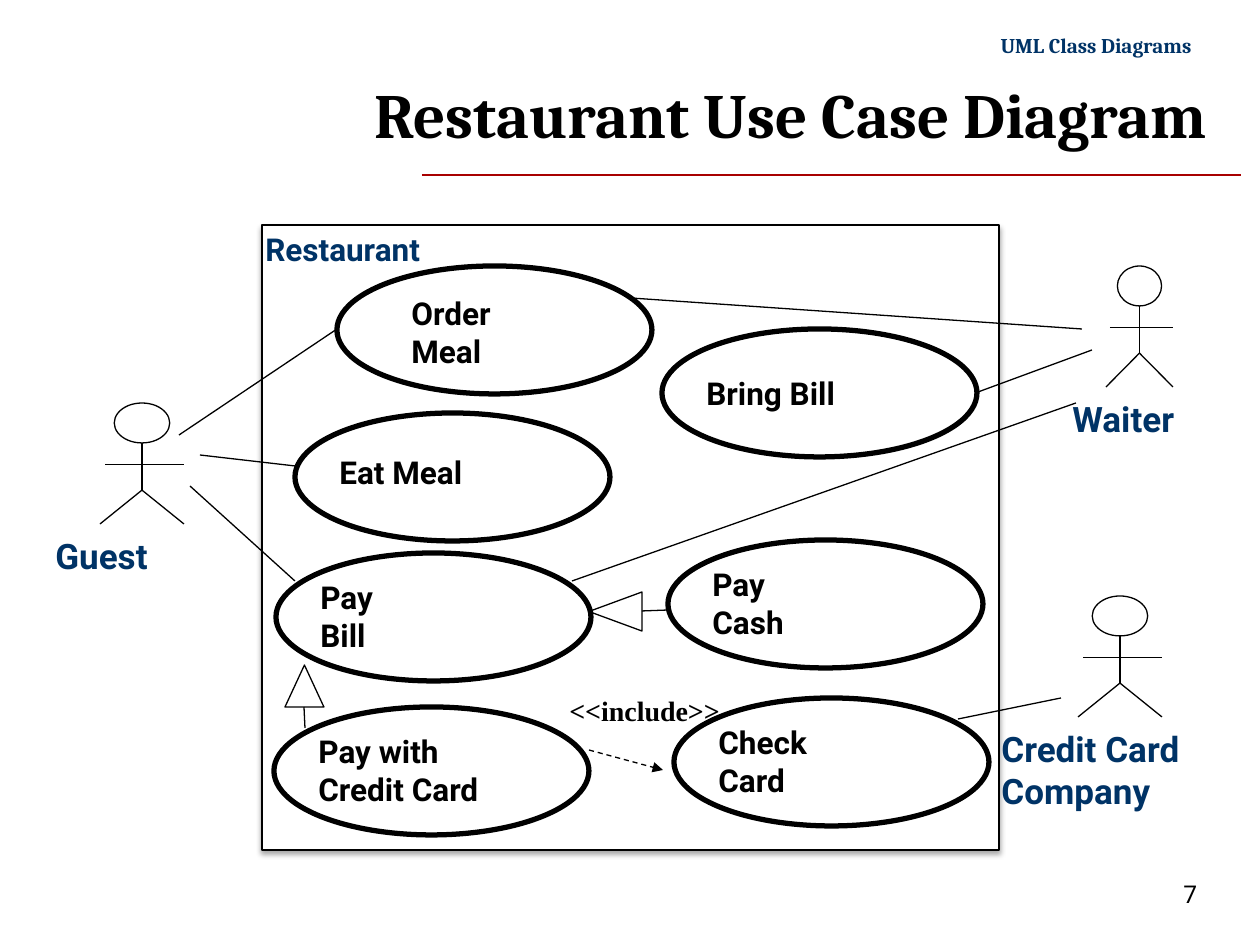
from dataclasses import dataclass

from lxml.etree import SubElement
from pptx import Presentation
from pptx.dml.color import RGBColor
from pptx.enum.dml import MSO_LINE
from pptx.enum.shapes import MSO_CONNECTOR, MSO_SHAPE
from pptx.enum.text import MSO_ANCHOR, PP_ALIGN
from pptx.oxml.ns import qn
from pptx.util import Emu, Pt


@dataclass(frozen=True)
class Theme:
    """Colours, fonts and type sizes of the slide."""
    black: str = "000000"
    white: str = "FFFFFF"
    navy: str = "003366"
    red: str = "A80000"
    serif: str = "Cambria"
    sans: str = "Roboto"
    stereo: str = "Times New Roman"
    title: int = 36
    actor: int = 20
    case: int = 18
    note: int = 16
    page: int = 14
    head: int = 12
    thin: float = 0.75
    thick: float = 3


THEME = Theme()
SCALE = 914400 / 126


def px(*nums):
    """Turn px lengths into EMU."""
    return [Emu(round(num * SCALE)) for num in nums]


def write(frame, text, font, size, color=THEME.black, bold=True, align=PP_ALIGN.LEFT):
    """Fill a text frame, one paragraph per line."""
    frame.text = text
    frame.word_wrap = True
    for para in frame.paragraphs:
        para.alignment = align
        para.font.name = font
        para.font.size = Pt(size)
        para.font.bold = bold
        para.font.color.rgb = RGBColor.from_string(color)


def label(slide, box, text, font, size, **style):
    """Place a text box."""
    write(slide.shapes.add_textbox(*px(*box)).text_frame, text, font, size, **style)


def line(slide, ends, color=THEME.black):
    """Draw a thin straight line without a shadow."""
    link = slide.shapes.add_connector(MSO_CONNECTOR.STRAIGHT, *px(*ends))
    link.line.color.rgb = RGBColor.from_string(color)
    link.line.width = Pt(THEME.thin)
    SubElement(link._element.spPr, qn("a:effectLst"))
    return link


def outline(slide, kind, box, width=THEME.thin):
    """Draw an unfilled preset shape."""
    shape = slide.shapes.add_shape(kind, *px(*box))
    shape.shadow.inherit = False
    shape.fill.background()
    shape.line.color.rgb = RGBColor.from_string(THEME.black)
    shape.line.width = Pt(width)
    return shape


def header(slide, box):
    """Place the running head, the title and the rule below it."""
    left, top, wide, high = box
    label(slide, (left + 700, top - 40, 251, 38), "UML Class Diagrams", THEME.serif,
          THEME.head, color=THEME.navy, align=PP_ALIGN.RIGHT)
    title = slide.shapes.title
    title.left, title.top, title.width, title.height = px(*box)
    write(title.text_frame, "Restaurant Use Case Diagram", THEME.serif, THEME.title,
          align=PP_ALIGN.RIGHT)
    title.text_frame.vertical_anchor = MSO_ANCHOR.MIDDLE
    rule = top + high + 15
    line(slide, (left + 169, rule, left + wide + 22, rule), THEME.red)


def system(slide, box):
    """Draw the system boundary with its soft shadow and name."""
    left, top, wide, high = box
    shape = outline(slide, MSO_SHAPE.RECTANGLE, box)
    shape.fill.solid()
    shape.fill.fore_color.rgb = RGBColor.from_string(THEME.white)
    glow = SubElement(shape._element.spPr.find(qn("a:effectLst")), qn("a:outerShdw"),
                      blurRad="39370", dist="22860", dir="5400000", rotWithShape="0")
    tint = SubElement(glow, qn("a:srgbClr"), val=THEME.black)
    SubElement(tint, qn("a:alpha"), val="35000")
    label(slide, (left - 9, top - 1, 229, 50), "Restaurant", THEME.sans, THEME.case,
          color=THEME.navy)


def actor(slide, box, text, start):
    """Draw a stick figure in a box, with its name below from start."""
    left, top, wide, high = box
    mid, neck, hip = left + wide / 2, top + high * 0.33, top + high * 0.72
    arm, foot, right = top + high * 0.51, top + high, left + wide
    head = wide * 0.66
    outline(slide, MSO_SHAPE.OVAL, (mid - head / 2, top, head, neck - top))
    for ends in ((mid, neck, mid, hip), (mid, hip, left, foot),
                 (mid, hip, right, foot), (left + wide * 0.06, arm, right, arm)):
        line(slide, ends)
    rows = text.count("\n") + 1
    label(slide, (start, foot + 4, 240, 14 + 42 * rows), text, THEME.sans, THEME.actor,
          color=THEME.navy)


def case(slide, box, text, dx=0, dy=0):
    """Draw a use case with its name, moved by dx and dy."""
    left, top, wide, high = box
    outline(slide, MSO_SHAPE.OVAL, box, THEME.thick)
    tall = 12 + 39 * (text.count("\n") + 1)
    label(slide, (left + 32 + dx, top + (high - tall) / 2 + dy, 252, tall), text,
          THEME.sans, THEME.case)


def parent(slide, box, stem, turn=0):
    """Draw a generalization: hollow head and stem."""
    outline(slide, MSO_SHAPE.FLOWCHART_EXTRACT, box).rotation = turn
    line(slide, stem)


def include(slide, box):
    """Draw the dashed include arrow with its note above."""
    left, top, wide, high = box
    label(slide, (left - 32, top - 63, 190, 46), "<<include>>", THEME.stereo, THEME.note)
    link = line(slide, (left, top, left + wide, top + high))
    link.line.dash_style = MSO_LINE.DASH
    SubElement(link.line._get_or_add_ln(), qn("a:tailEnd"), type="triangle")


def diagram(slide):
    """Place actors, use cases and the links between them."""
    system(slide, (262, 225, 737, 625))
    for spot, text, start in (((100, 403, 84, 121), "Guest", 43),
                              ((1106, 266, 67, 121), "Waiter", 1060),
                              ((1078, 596, 84, 121), "Credit Card\nCompany", 989)):
        actor(slide, spot, text, start)
    for left, top, text, *move in ((337, 266, "Order\nMeal", 30, 3),
                                   (295, 413, "Eat Meal", 0, -5),
                                   (276, 553, "Pay\nBill"),
                                   (274, 707, "Pay with\nCredit Card"),
                                   (662, 329, "Bring Bill"),
                                   (668, 540, "Pay\nCash"),
                                   (674, 698, "Check\nCard")):
        case(slide, (left, top, 315, 128), text, *move)
    for ends in ((179, 435, 337, 329), (200, 455, 295, 466), (190, 486, 295, 581),
                 (1082, 329, 631, 298), (1092, 350, 978, 392),
                 (1076, 403, 572, 581), (958, 719, 1061, 698)):
        line(slide, ends)
    parent(slide, (285, 665, 39, 42), (304, 707, 305, 728))
    parent(slide, (596, 585, 39, 53), (642, 611, 669, 610), 270)
    include(slide, (589, 750, 74, 20))


def main():
    """Build and save the slide."""
    deck = Presentation()
    deck.slide_width, deck.slide_height = px(1260, 945)
    slide = deck.slides.add_slide(deck.slide_layouts[5])
    header(slide, (253, 66, 966, 94))
    diagram(slide)
    label(slide, (1171, 873, 89, 43), "7", THEME.sans, THEME.page, bold=False)
    deck.save("out.pptx")


if __name__ == "__main__":
    main()
